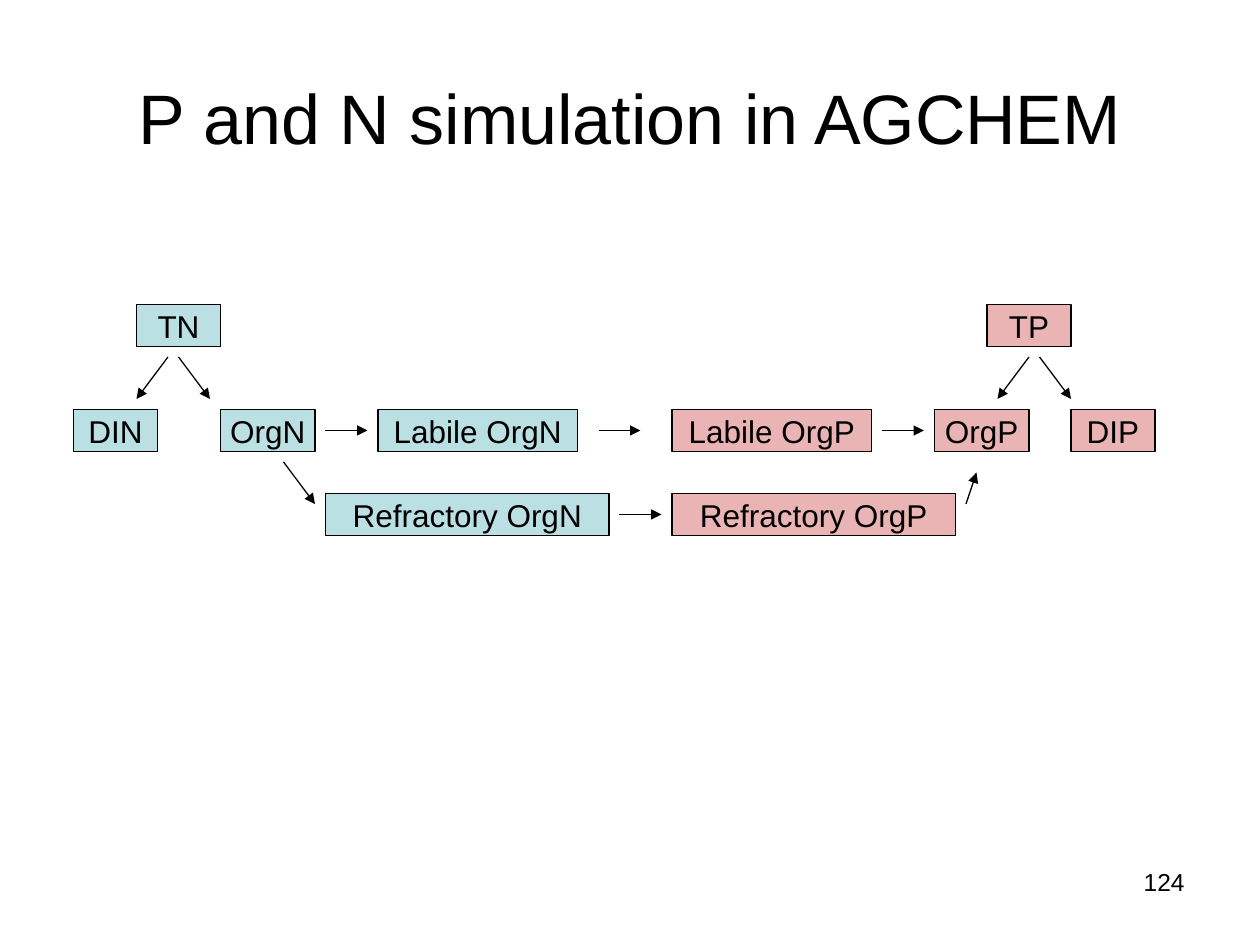
from lxml import etree
from pptx import Presentation
from pptx.dml.color import RGBColor
from pptx.enum.shapes import MSO_CONNECTOR, MSO_SHAPE
from pptx.enum.text import MSO_ANCHOR, PP_ALIGN
from pptx.oxml.ns import qn
from pptx.util import Pt

BLACK = "000000"
BLUE = "BBE0E3"
PINK = "EAB4B4"
BOX_HEIGHT = 24

# Places are points from the top left corner of the diagram.
NITROGEN_BOXES = [
    ("TN", 36, 0, 48),
    ("DIN", 0, 60, 48),
    ("OrgN", 84, 60, 54),
    ("Labile OrgN", 174, 60, 114),
    ("Refractory OrgN", 144, 108, 162),
]
NITROGEN_ARROWS = [
    (54, 30, 36, 54),
    (60, 30, 78, 54),
    (144, 72, 168, 72),
    (120, 90, 138, 114),
]
PHOSPHORUS_BOXES = [
    ("TP", 522, 0, 48),
    ("DIP", 570, 60, 48),
    ("OrgP", 492, 60, 54),
    ("Labile OrgP", 342, 60, 114),
    ("Refractory OrgP", 342, 108, 162),
]
PHOSPHORUS_ARROWS = [
    (546, 30, 528, 54),
    (552, 30, 570, 54),
    (462, 72, 486, 72),
    (510, 114, 516, 96),
]
BRIDGE_ARROWS = [(300, 72, 324, 72), (312, 120, 336, 120)]


def color(hex_string):
    return RGBColor.from_string(hex_string)


def set_text(shape, text, size, alignment, anchor, wrap=True):
    text_frame = shape.text_frame
    text_frame.text = text
    text_frame.word_wrap = wrap
    text_frame.vertical_anchor = anchor
    paragraph = text_frame.paragraphs[0]
    paragraph.alignment = alignment
    font = paragraph.runs[0].font
    font.name = "Arial"
    font.size = Pt(size)
    font.color.rgb = color(BLACK)


def add_label(slide, text, left, top, width, height, size, alignment, anchor):
    label = slide.shapes.add_textbox(Pt(left), Pt(top), Pt(width), Pt(height))
    set_text(label, text, size, alignment, anchor)


def add_pool(slide, text, left, top, width, fill):
    """Add one labelled nutrient box."""
    pool = slide.shapes.add_shape(
        MSO_SHAPE.RECTANGLE, Pt(left), Pt(top), Pt(width), Pt(BOX_HEIGHT))
    pool.shadow.inherit = False
    pool.fill.solid()
    pool.fill.fore_color.rgb = color(fill)
    pool.line.color.rgb = color(BLACK)
    pool.line.width = Pt(0.75)
    set_text(pool, text, 18, PP_ALIGN.CENTER, MSO_ANCHOR.MIDDLE, wrap=False)


def add_arrow(slide, start_x, start_y, end_x, end_y):
    arrow = slide.shapes.add_connector(
        MSO_CONNECTOR.STRAIGHT, Pt(start_x), Pt(start_y), Pt(end_x), Pt(end_y))
    arrow.line.color.rgb = color(BLACK)
    arrow.line.width = Pt(0.75)
    etree.SubElement(arrow.line._get_or_add_ln(), qn("a:tailEnd"), type="triangle")
    etree.SubElement(arrow._element.spPr, qn("a:effectLst"))


def add_diagram(slide, left, top):
    for boxes, fill in ((NITROGEN_BOXES, BLUE), (PHOSPHORUS_BOXES, PINK)):
        for text, x, y, width in boxes:
            add_pool(slide, text, left + x, top + y, width, fill)
    for start_x, start_y, end_x, end_y in (
            NITROGEN_ARROWS + BRIDGE_ARROWS + PHOSPHORUS_ARROWS):
        add_arrow(slide, left + start_x, top + start_y, left + end_x, top + end_y)


def main():
    presentation = Presentation()
    presentation.slide_width = Pt(720)
    presentation.slide_height = Pt(540)
    slide = presentation.slides.add_slide(presentation.slide_layouts[6])
    add_label(slide, "P and N simulation in AGCHEM", 36, 21.6, 648, 90,
              40, PP_ALIGN.CENTER, MSO_ANCHOR.MIDDLE)
    add_diagram(slide, 42, 174)
    add_label(slide, "124", 516, 492, 168, 37.5,
              14, PP_ALIGN.RIGHT, MSO_ANCHOR.TOP)
    presentation.save("out.pptx")


if __name__ == "__main__":
    main()
